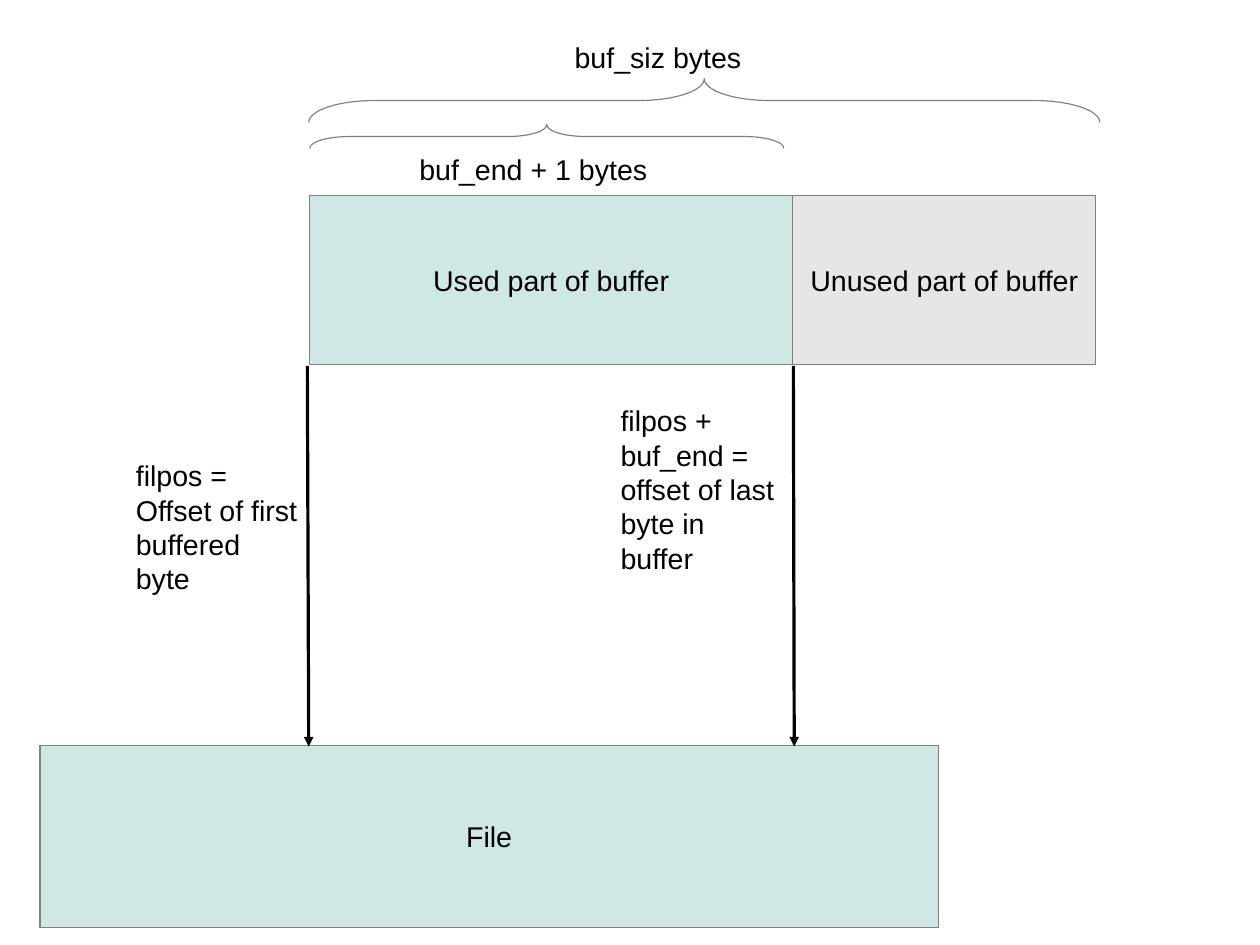
from dataclasses import dataclass

from lxml import etree
from pptx import Presentation
from pptx import util as u
from pptx.dml.color import RGBColor
from pptx.enum import shapes, text
from pptx.oxml import ns

TEAL, PALE_GREY, GREY, BLACK = "CFE7E5", "E6E6E6", "808080", "000000"
HAIRLINE = u.Pt(0)


# All positions and sizes are in centimetres
@dataclass
class Box:
    label: str
    left: float
    top: float
    width: float
    height: float
    fill: str


@dataclass
class Brace:
    left: float
    top: float
    length: float
    depth: float


@dataclass
class Caption:
    lines: list[str]
    left: float
    top: float
    width: float
    height: float


@dataclass
class Arrow:
    start_x: float
    end_x: float


BUFFER_TOP, BUFFER_HEIGHT = 4.34, 3.76
ARROW_TOP, ARROW_BOTTOM = 8.13, 16.59

BOXES = [
    Box("File", 0.89, 16.56, 19.96, 4.06, TEAL),
    Box("Used part of buffer", 6.88, BUFFER_TOP, 10.74, BUFFER_HEIGHT, TEAL),
    Box("Unused part of buffer", 17.62, BUFFER_TOP, 6.73, BUFFER_HEIGHT, PALE_GREY),
]
BRACES = [Brace(6.88, 2.77, 10.54, 0.53), Brace(6.86, 1.75, 17.58, 0.97)]
CAPTIONS = [
    Caption(["buf_siz bytes"], 12.52, 0.76, 6.4, 0.97),
    Caption(["buf_end + 1 bytes"], 9.07, 3.25, 6.4, 0.97),
    Caption(["filpos =", "Offset of first buffered byte"], 2.77, 10.06, 4.11, 3.1),
    Caption(["filpos + buf_end = offset of last byte in buffer"], 13.54, 8.84, 4.11, 3.81),
]
ARROWS = [Arrow(6.83, 6.86), Arrow(17.63, 17.65)]


def color(hex_value: str) -> RGBColor:
    return RGBColor.from_string(hex_value)


def set_line(line, hex_value: str) -> None:
    line.color.rgb = color(hex_value)
    line.width = HAIRLINE


def write(frame, lines: list[str], align) -> None:
    frame.text = "\n".join(lines)
    for paragraph in frame.paragraphs:
        paragraph.alignment = align
        paragraph.font.name = "Arial"
        paragraph.font.size = u.Pt(18)
        paragraph.font.color.rgb = color(BLACK)


def draw_box(slide, box: Box) -> None:
    shape = slide.shapes.add_shape(
        shapes.MSO_SHAPE.RECTANGLE,
        u.Cm(box.left), u.Cm(box.top), u.Cm(box.width), u.Cm(box.height))
    shape.shadow.inherit = False
    shape.fill.solid()
    shape.fill.fore_color.rgb = color(box.fill)
    set_line(shape.line, GREY)
    shape.text_frame.word_wrap = False
    shape.text_frame.vertical_anchor = text.MSO_ANCHOR.MIDDLE
    write(shape.text_frame, [box.label], text.PP_ALIGN.CENTER)


def draw_brace(slide, brace: Brace) -> None:
    # A left brace turned a quarter about its centre points upwards
    shift = (brace.length - brace.depth) / 2
    shape = slide.shapes.add_shape(
        shapes.MSO_SHAPE.LEFT_BRACE,
        u.Cm(brace.left + shift), u.Cm(brace.top - shift),
        u.Cm(brace.depth), u.Cm(brace.length))
    shape.rotation = 90
    shape.adjustments[0] = brace.length / 12 / brace.depth
    shape.shadow.inherit = False
    shape.fill.background()
    set_line(shape.line, GREY)


def draw_caption(slide, caption: Caption) -> None:
    frame = slide.shapes.add_textbox(
        u.Cm(caption.left), u.Cm(caption.top),
        u.Cm(caption.width), u.Cm(caption.height)).text_frame
    frame.word_wrap = True
    frame.auto_size = text.MSO_AUTO_SIZE.SHAPE_TO_FIT_TEXT
    write(frame, caption.lines, text.PP_ALIGN.LEFT)


def draw_arrow(slide, arrow: Arrow) -> None:
    connector = slide.shapes.add_connector(
        shapes.MSO_CONNECTOR.STRAIGHT,
        u.Cm(arrow.start_x), u.Cm(ARROW_TOP), u.Cm(arrow.end_x), u.Cm(ARROW_BOTTOM))
    set_line(connector.line, BLACK)
    properties = connector._element.spPr
    etree.SubElement(properties.find(ns.qn("a:ln")), ns.qn("a:tailEnd"), type="triangle")
    etree.SubElement(properties, ns.qn("a:effectLst"))


def main() -> None:
    presentation = Presentation()
    presentation.slide_width = u.Cm(28)
    presentation.slide_height = u.Cm(21)
    slide = presentation.slides.add_slide(presentation.slide_layouts[6])

    # File and buffer
    for box in BOXES:
        draw_box(slide, box)
    # Extents of the buffer
    for brace in BRACES:
        draw_brace(slide, brace)
    # Buffer ends mapped to file offsets
    for arrow in ARROWS:
        draw_arrow(slide, arrow)
    for caption in CAPTIONS:
        draw_caption(slide, caption)

    presentation.save("out.pptx")


if __name__ == "__main__":
    main()
